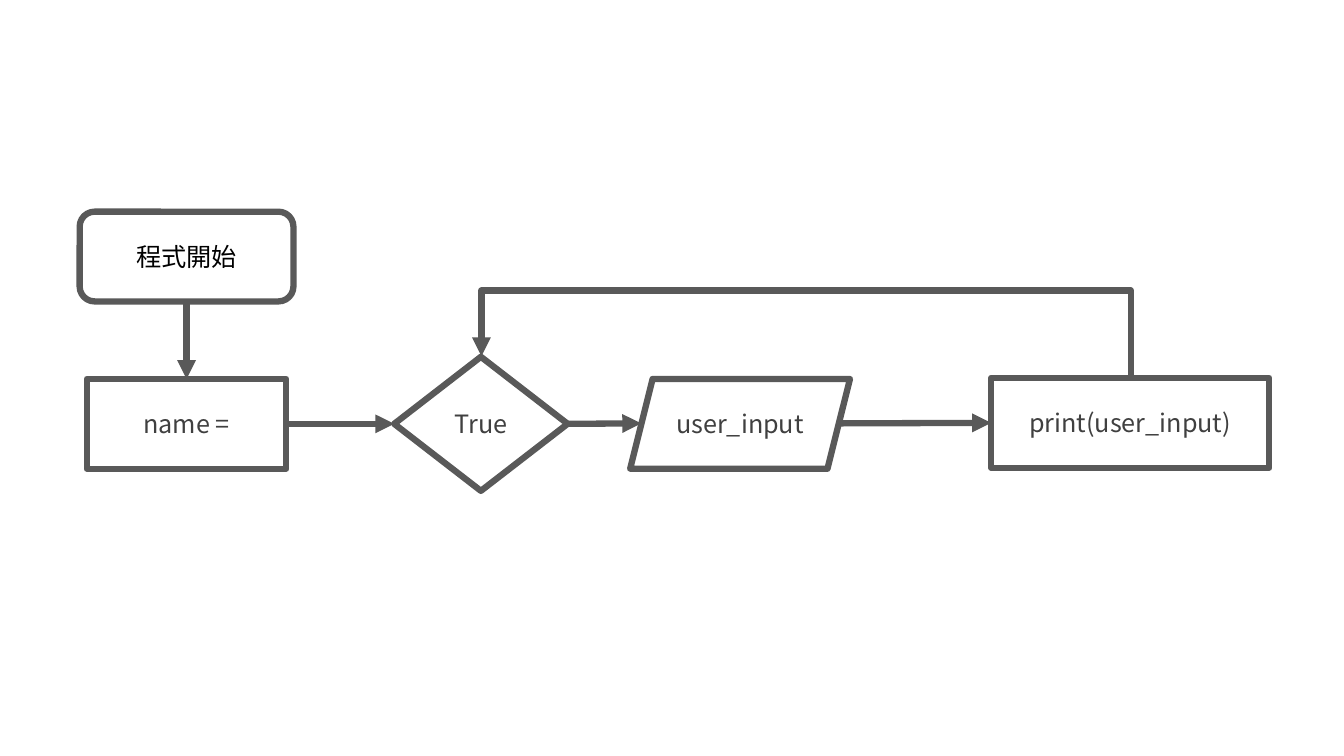
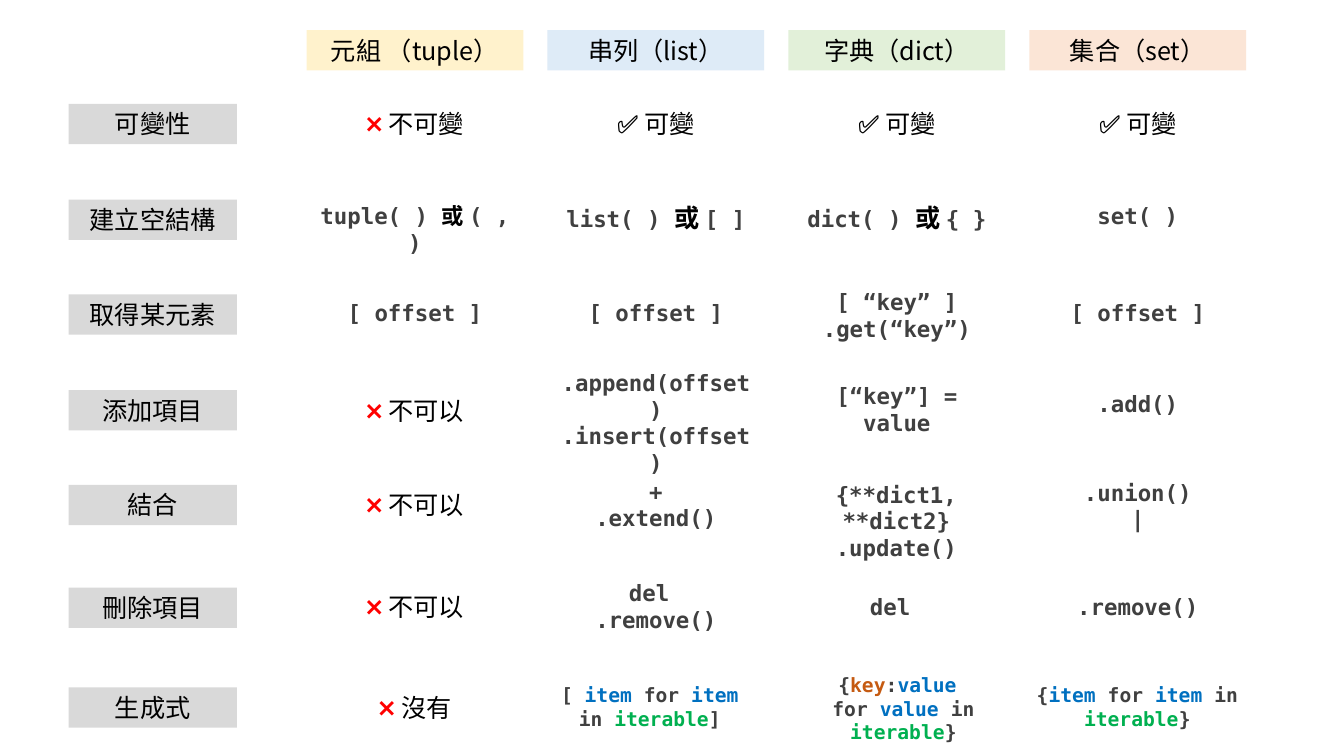
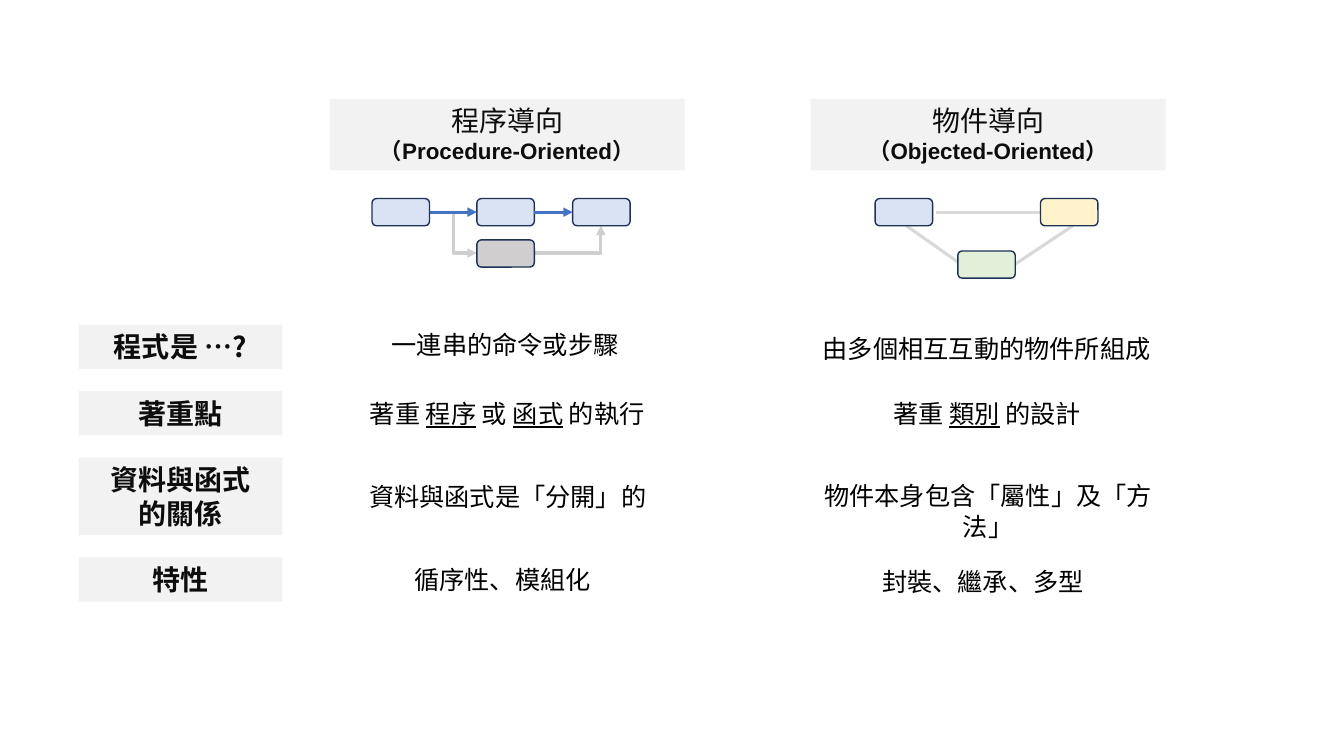
"""Build three Python teaching slides: a loop flowchart, a container grid and a paradigm comparison."""
from lxml.etree import SubElement
from pptx import Presentation
from pptx.dml.color import RGBColor
from pptx.enum.shapes import MSO_CONNECTOR as WIRE, MSO_SHAPE as FORM
from pptx.enum.text import MSO_ANCHOR, MSO_AUTO_SIZE, PP_ALIGN
from pptx.oxml.ns import qn
from pptx.util import Pt

PX = 9144
HUES = {
    "black": "000000", "ink": "0D0D0D", "dark": "404040", "line": "595959",
    "red": "FF0000", "blue": "0070C0", "green": "00B050", "rust": "C55A11",
    "white": "FFFFFF", "pale": "F2F2F2", "label": "D9D9D9", "stone": "D0CECE",
    "cream": "FFF2CC", "sky": "DEEBF7", "mint": "E2F0D9", "peach": "FBE5D6",
    "ice": "DAE3F3", "navy": "1E3256", "arrow": "4472C4",
}
CJK, MONO, SANS = "Noto Sans CJK TC", "DejaVu Sans Mono", "Arial"
STYLES = {
    "text": (CJK, 18, "black", False, False),
    "under": (CJK, 18, "black", False, True),
    "flow": (CJK, 18, "dark", False, False),
    "cross": (CJK, 18, "red", True, False),
    "or": (CJK, 18, "black", True, False),
    "or16": (CJK, 16, "black", True, False),
    "code": (MONO, 16, "dark", True, False),
    "small": (MONO, 14, "dark", True, False),
    "item": (MONO, 14, "blue", True, False),
    "iter": (MONO, 14, "green", True, False),
    "key": (MONO, 14, "rust", True, False),
    "head": (CJK, 20, "ink", False, False),
    "sub": (SANS, 16, "ink", True, False),
    "bold": (CJK, 20, "ink", True, False),
}


def box(page, form, at, paras=(), fill=None, line=None, wide=1, align=PP_ALIGN.CENTER):
    place = [n * PX for n in at]
    if form is None:
        shape = page.shapes.add_textbox(*place)
    else:
        shape = page.shapes.add_shape(form, *place)
        shape.shadow.inherit = False
        if fill:
            shape.fill.solid()
            shape.fill.fore_color.rgb = RGBColor.from_string(HUES[fill])
        else:
            shape.fill.background()
        if line:
            shape.line.color.rgb = RGBColor.from_string(HUES[line])
            shape.line.width = Pt(wide)
        else:
            shape.line.fill.background()
    frame = shape.text_frame
    frame.word_wrap = True
    frame.vertical_anchor = MSO_ANCHOR.MIDDLE if line else MSO_ANCHOR.TOP
    frame.auto_size = MSO_AUTO_SIZE.NONE if line else MSO_AUTO_SIZE.SHAPE_TO_FIT_TEXT
    for i, runs in enumerate(paras):
        para = frame.add_paragraph() if i else frame.paragraphs[0]
        para.alignment = align
        for style, text in runs:
            face, size, hue, bold, under = STYLES[style]
            run = para.add_run()
            run.text = text
            font = run.font
            font.name, font.size, font.bold, font.underline = face, Pt(size), bold, under
            font.color.rgb = RGBColor.from_string(HUES[hue])
            SubElement(run._r.get_or_add_rPr(), qn("a:ea"), typeface=face)
    return shape


def link(page, form, ends, hue, wide, head=True, start=None, stop=None):
    wire = page.shapes.add_connector(form, *[n * PX for n in ends])
    if start:
        wire.begin_connect(*start)
    if stop:
        wire.end_connect(*stop)
    wire.line.color.rgb = RGBColor.from_string(HUES[hue])
    wire.line.width = Pt(wide)
    if head:
        SubElement(wire.line._get_or_add_ln(), qn("a:tailEnd"), type="triangle")
    SubElement(wire._element.spPr, qn("a:effectLst"))
    return wire


deck = Presentation()
deck.slide_width, deck.slide_height = 1333 * PX, 750 * PX
flow, grid, pair = [deck.slides.add_slide(deck.slide_layouts[6]) for _ in range(3)]

steps = {}
for name, form, at, style, text, fill in [
    ("start", FORM.ROUNDED_RECTANGLE, (79, 210, 212, 89), "text", "程式開始", None),
    ("input", FORM.PARALLELOGRAM, (625, 376, 218, 89), "flow", "user_input", None),
    ("name", FORM.RECTANGLE, (86, 376, 198, 89), "flow", "name =", None),
    ("test", FORM.FLOWCHART_DECISION, (391, 354, 172, 133), "flow", "True", "white"),
    ("print", FORM.RECTANGLE, (983, 375, 276, 89), "flow", "print(user_input)", None),
]:
    steps[name] = box(flow, form, at, [[(style, text)]], fill, "line", 4.5)
for ends, start, stop in [
    ((185, 299, 185, 376), (steps["start"], 2), (steps["name"], 0)),
    ((284, 420, 391, 420), (steps["name"], 3), (steps["test"], 1)),
    ((563, 420, 636, 420), (steps["test"], 3), None),
    ((832, 420, 983, 420), None, (steps["print"], 1)),
]:
    link(flow, WIRE.STRAIGHT, ends, "line", 4.5, True, start, stop)
back = link(flow, WIRE.ELBOW, (789, 686, 810, 42), "line", 4.5)._element.spPr
back.find(qn("a:xfrm")).set("rot", "16200000")
SubElement(back.find(qn("a:prstGeom")).find(qn("a:avLst")), qn("a:gd"), name="adj1", fmla="val 411100")

LEFTS = [304 + 239 * i for i in range(4)]
heads = [("元組 （tuple）", "cream"), ("串列（list）", "sky"), ("字典（dict）", "mint"), ("集合（set）", "peach")]
for left, (text, fill) in zip(LEFTS, heads):
    box(grid, FORM.RECTANGLE, (left, 30, 215, 40), [[("text", text)]], fill)

can = [[("text", "✅ 可變")]]
fixed, barred, none = [[[("cross", "❌ "), ("text", t)]] for t in ("不可變", "不可以", "沒有")]
index = [[("code", "[ offset ]")]]
rows = [
    ("可變性", 103, [(103, fixed), (103, can), (103, can), (103, can)]),
    ("建立空結構", 198, [
        (196, [[("code", "tuple( ) "), ("or16", "或 "), ("code", "( , )")]]),
        (196, [[("code", "list( ) "), ("or", "或 "), ("code", "[ ]")]]),
        (196, [[("code", "dict( ) "), ("or", "或 "), ("code", "{ }")]]),
        (196, [[("code", "set( )")]])]),
    ("取得某元素", 292, [
        (292, index), (292, index),
        (281, [[("code", "[ “key” ]")], [("code", ".get(“key”)")]]),
        (292, index)]),
    ("添加項目", 387, [
        (387, barred),
        (361, [[("code", ".append(offset)")], [("code", ".insert(offset)")]]),
        (374, [[("code", "[“key”] = value")]]),
        (382, [[("code", ".add()")]])]),
    ("結合", 481, [
        (481, barred),
        (469, [[("code", "+")], [("code", ".extend()")]]),
        (472, [[("code", "{**dict1, **dict2}")], [("code", ".update()")]]),
        (470, [[("code", ".union()")], [("code", "|")]])]),
    ("刪除項目", 583, [
        (582, barred),
        (570, [[("code", "del ")], [("code", ".remove()")]]),
        (584, [[("code", "del ")]]),
        (584, [[("code", ".remove()")]])]),
    ("生成式", 682, [
        (682, none),
        (673, [[("small", "[ "), ("item", "item"), ("small", " for "), ("item", "item"),
                ("small", " in "), ("iter", "iterable"), ("small", "]")]]),
        (663, [[("small", "{"), ("key", "key"), ("small", ":"), ("item", "value ")],
               [("small", "for "), ("item", "value"), ("small", " in "),
                ("iter", "iterable"), ("small", "}")]]),
        (673, [[("small", "{"), ("item", "item"), ("small", " for "), ("item", "item"),
                ("small", " in ")], [("iter", "iterable"), ("small", "}")]])]),
]
spans = {("結合", 2): (763, 252), ("生成式", 1): (543, 203),
         ("生成式", 2): (782, 228), ("生成式", 3): (1014, 228)}
for label, top, cells in rows:
    box(grid, FORM.RECTANGLE, (68, top, 167, 40), [[("text", label)]], "label")
    for col, (high, paras) in enumerate(cells):
        left, width = spans.get((label, col), (LEFTS[col], 215))
        box(grid, None, (left, high, width, 37 * len(paras)), paras)

for left, text, sub in [(327, "程序導向", "（Procedure-Oriented）"), (804, "物件導向", "（Objected-Oriented）")]:
    box(pair, FORM.RECTANGLE, (left, 98, 352, 71), [[("head", text)], [("sub", sub)]], "pale")

for ends in [(928, 211, 1035, 211), (899, 224, 953, 262), (1064, 224, 1007, 262)]:
    link(pair, WIRE.STRAIGHT, ends, "label", 2.25, False)
link(pair, WIRE.ELBOW, (426, 211, 473, 251), "stone", 2.25)
turn = link(pair, WIRE.ELBOW, (530, 251, 596, 224), "stone", 2.25)
turn._element.spPr.find(qn("a:prstGeom")).set("prst", "bentConnector2")
nodes = []
for left, top, fill in [(369, 197, "ice"), (473, 197, "ice"), (568, 197, "ice"), (473, 238, "stone"),
                        (868, 197, "ice"), (950, 249, "mint"), (1032, 197, "cream")]:
    nodes.append(box(pair, FORM.ROUNDED_RECTANGLE, (left, top, 57, 27), (), fill, "navy"))
for a, b in zip(nodes[:2], nodes[1:3]):
    link(pair, WIRE.STRAIGHT, (0, 0, 1, 1), "arrow", 2.25, True, (a, 3), (b, 1))

top = 322
for lines in [["程式是 …?"], ["著重點"], ["資料與函式", "的關係"], ["特性"]]:
    high = 11 + 33 * len(lines)
    box(pair, FORM.RECTANGLE, (78, top, 202, high), [[("bold", t)] for t in lines], "pale")
    top += high + 22

for left, top, width, runs in [
    (366, 322, 270, [("text", "一連串的命令或步驟")]),
    (347, 390, 312, [("text", "著重 "), ("under", "程序"), ("text", " 或 "),
                     ("under", "函式"), ("text", " 的執行")]),
    (350, 473, 307, [("text", "資料與函式是「分開」的")]),
    (784, 326, 389, [("text", "由多個相互互動的物件所組成")]),
    (823, 390, 312, [("text", "著重 "), ("under", "類別"), ("text", " 的設計")]),
    (793, 472, 374, [("text", "物件本身包含「屬性」及「方法」")]),
]:
    box(pair, None, (left, top, width, 40), [runs])
for left, top, width, text in [(401, 555, 202, "循序性、模組化"), (865, 557, 232, "封裝、繼承、多型")]:
    box(pair, None, (left, top, width, 40), [[("text", text)]], align=PP_ALIGN.LEFT)

deck.save("out.pptx")
